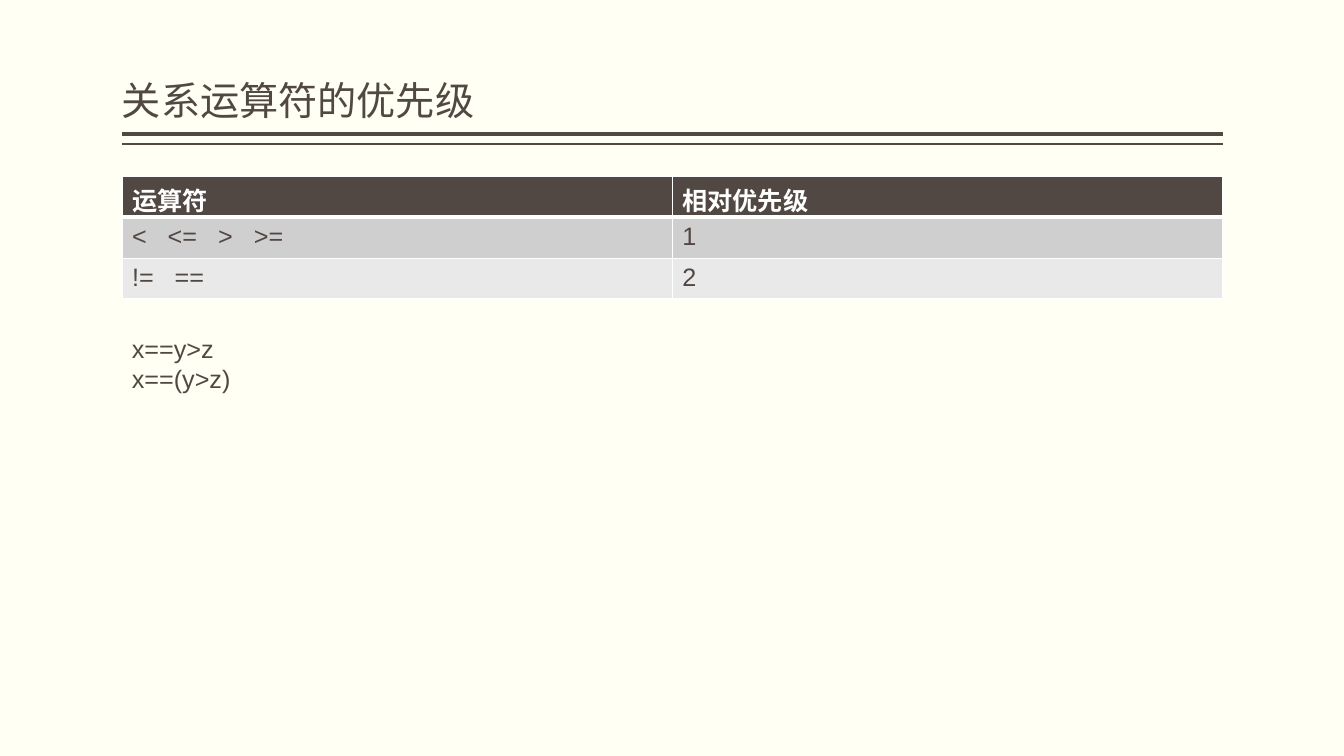
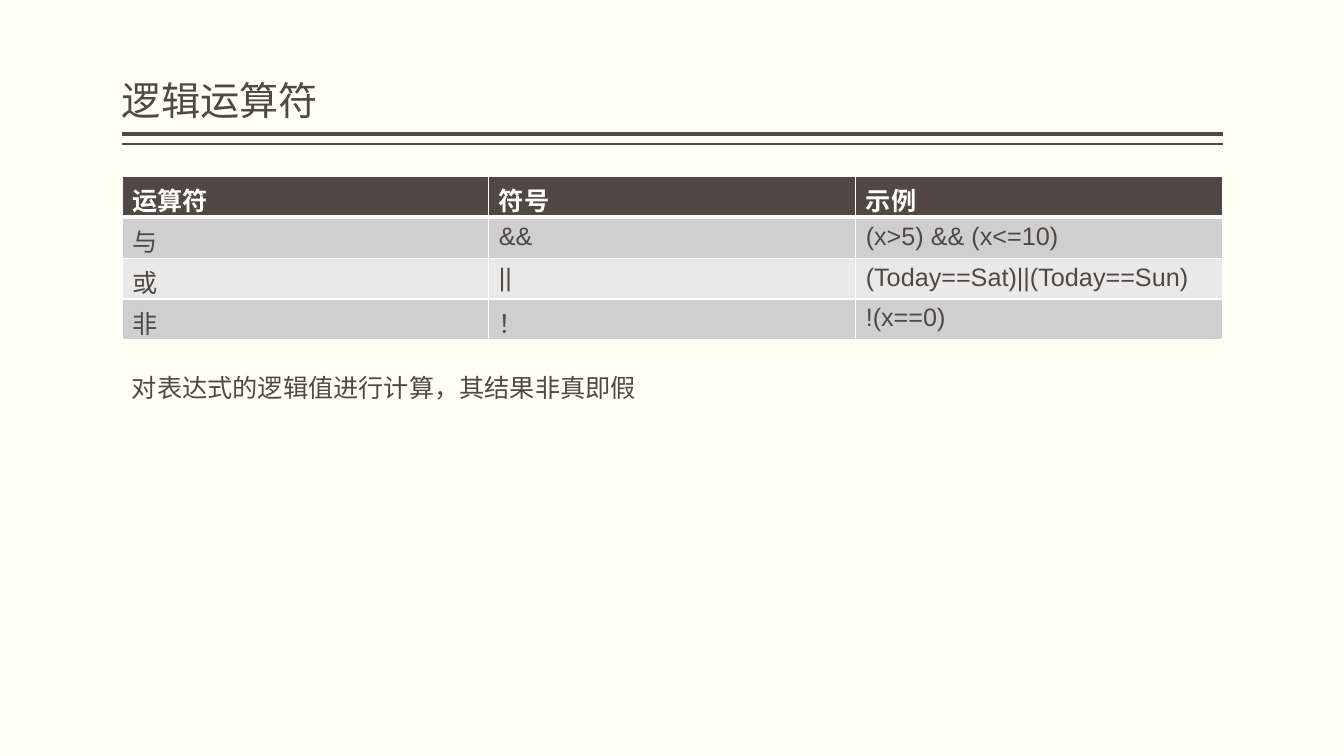
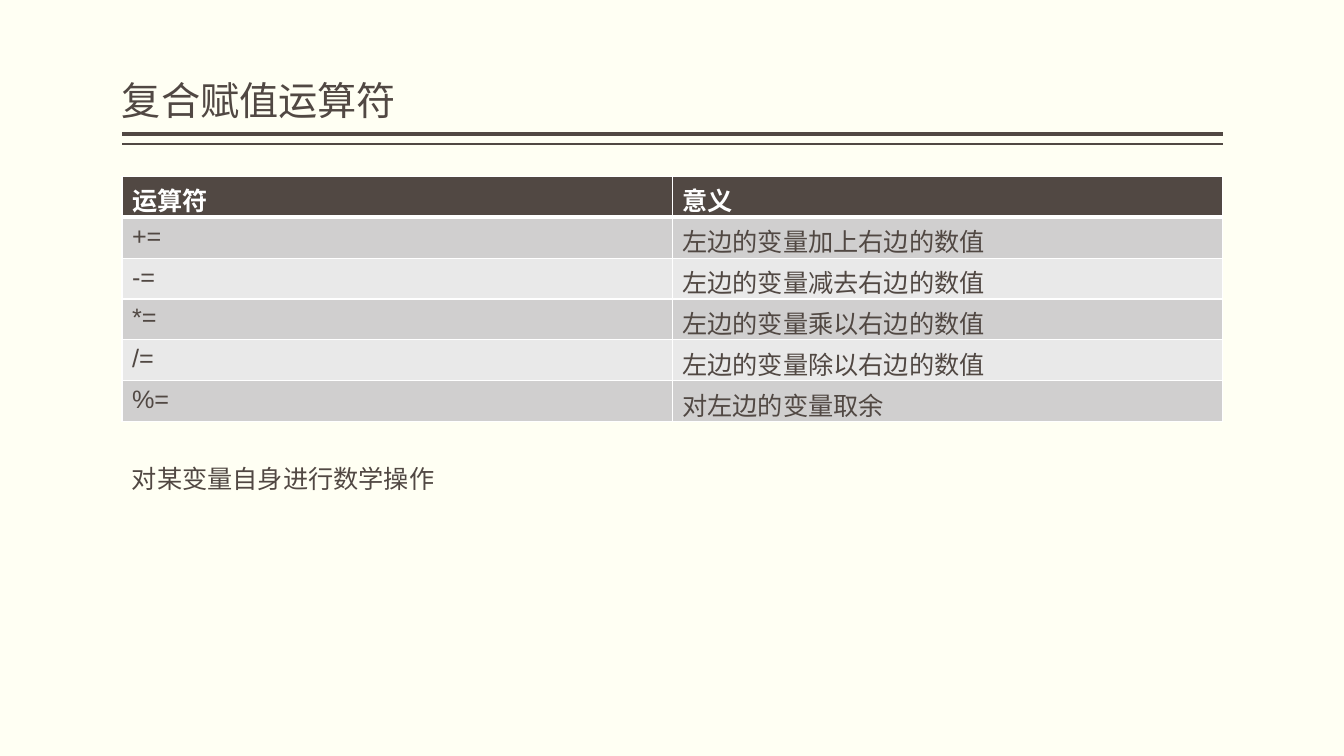
"""Build three slides about programming operators."""
from dataclasses import dataclass

from pptx import Presentation
from pptx.dml.color import RGBColor
from pptx.enum.shapes import MSO_CONNECTOR
from pptx.enum.text import MSO_ANCHOR, MSO_AUTO_SIZE
from pptx.oxml.ns import qn
from pptx.util import Pt
from lxml import etree

STRAIGHT = MSO_CONNECTOR.STRAIGHT
BOTTOM = MSO_ANCHOR.BOTTOM
GROW = MSO_AUTO_SIZE.SHAPE_TO_FIT_TEXT


@dataclass(frozen=True)
class Theme:
    """Colours, fonts, type sizes and shared measures in points."""
    paper: str = "FFFFF3"
    ink: str = "514843"
    white: str = "FFFFFF"
    bands: tuple = ("D0CFCF", "E9E9E9")
    latin: str = "Arial"
    cjk: str = "Noto Sans CJK SC"
    title_size: float = 28
    body_size: float = 18
    left: float = 87.12
    width: float = 786.24
    table_top: float = 126
    row_height: float = 29.2
    operator_gap: float = 10


THEME = Theme()


def rgb(value):
    """Turn a hex string into a colour."""
    return RGBColor.from_string(value)


def add_run(p, text, size=THEME.body_size, font=THEME.latin, color=THEME.ink,
            bold=False, tracking=0):
    """Add one styled run, with optional letter spacing in points."""
    r = p.add_run()
    r.text = text
    r.font.size = Pt(size)
    r.font.name = font
    r.font.bold = bold
    r.font.color.rgb = rgb(color)
    rpr = r._r.get_or_add_rPr()
    etree.SubElement(rpr, qn("a:ea"), typeface=THEME.cjk)
    if tracking:
        rpr.set("spc", str(tracking * 100))


def add_rule(s, y, weight):
    """Draw a horizontal rule across the content width."""
    line = s.shapes.add_connector(STRAIGHT, Pt(THEME.left + THEME.width), Pt(y),
                                  Pt(THEME.left), Pt(y))
    line.line.color.rgb = rgb(THEME.ink)
    line.line.width = Pt(weight)
    etree.SubElement(line._element.spPr, qn("a:effectLst"))


def add_title(s, text):
    """Add the slide title, standing on its baseline."""
    sp = s.shapes.add_textbox(Pt(THEME.left), Pt(5.76), Pt(THEME.width), Pt(86.4))
    tf = sp.text_frame
    tf.word_wrap = True
    tf.vertical_anchor = BOTTOM
    tf.margin_left = tf.margin_right = 0
    p = tf.paragraphs[0]
    p.line_spacing = 0.9
    add_run(p, text, THEME.title_size, THEME.cjk)


def add_slide(prs, title):
    """Add a blank slide with the title and the double rule."""
    s = prs.slides.add_slide(prs.slide_layouts[6])
    add_rule(s, 95.76, 3)
    add_rule(s, 102.96, 1)
    add_title(s, title)
    return s


def set_borders(cell, top, bottom):
    """Give a cell white borders."""
    tc_pr = cell._tc.get_or_add_tcPr()
    for side, weight in (("L", 1), ("R", 1), ("T", top), ("B", bottom)):
        ln = etree.SubElement(tc_pr, qn(f"a:ln{side}"), w=str(Pt(weight)))
        fill = etree.SubElement(ln, qn("a:solidFill"))
        etree.SubElement(fill, qn("a:srgbClr"), val=THEME.white)


def fill_cell(cell, content, row):
    """Style a cell; a tuple of operators is set with wide gaps."""
    header = row == 0
    set_borders(cell, 3 if row == 1 else 1, 3 if header else 1)
    cell.fill.solid()
    cell.fill.fore_color.rgb = rgb(THEME.ink if header else THEME.bands[(row - 1) % 2])
    p = cell.text_frame.paragraphs[0]
    parts = content if isinstance(content, tuple) else (content,)
    for i, part in enumerate(parts):
        if i:
            add_run(p, " ", tracking=THEME.operator_gap)
        add_run(p, part, color=THEME.white if header else THEME.ink, bold=header)


def add_operator_table(s, rows):
    """Add a table with equal columns and banded rows."""
    columns = len(rows[0])
    table = s.shapes.add_table(len(rows), columns, Pt(THEME.left), Pt(THEME.table_top),
                               Pt(THEME.width), Pt(THEME.row_height * len(rows))).table
    table.horz_banding = False
    for column in table.columns:
        column.width = Pt(THEME.width / columns)
    for i, row in enumerate(rows):
        table.rows[i].height = Pt(THEME.row_height)
        for j, content in enumerate(row):
            fill_cell(table.cell(i, j), content, i)


def add_note(s, top, width, height, *lines):
    """Add the remark below the table, one paragraph a line."""
    sp = s.shapes.add_textbox(Pt(THEME.left), Pt(top), Pt(width), Pt(height))
    tf = sp.text_frame
    tf.word_wrap = True
    tf.auto_size = GROW
    for i, line in enumerate(lines):
        p = tf.add_paragraph() if i else tf.paragraphs[0]
        add_run(p, line)


def main():
    """Build and save the presentation."""
    prs = Presentation()
    prs.slide_width, prs.slide_height = Pt(960), Pt(540)
    background = prs.slide_master.background.fill
    background.solid()
    background.fore_color.rgb = rgb(THEME.paper)

    s = add_slide(prs, "关系运算符的优先级")
    add_operator_table(s, [
        ["运算符", "相对优先级"],
        [("<", "<=", ">", ">="), "1"],
        [("!=", "=="), "2"],
    ])
    add_note(s, 234.72, THEME.width, 51.12, "x==y>z", "x==(y>z)")

    s = add_slide(prs, "逻辑运算符")
    add_operator_table(s, [
        ["运算符", "符号", "示例"],
        ["与", "&&", "(x>5) && (x<=10)"],
        ["或", "||", "(Today==Sat)||(Today==Sun)"],
        ["非", "！", "!(x==0)"],
    ])
    add_note(s, 262.08, 668.88, 28.8, "对表达式的逻辑值进行计算，其结果非真即假")

    s = add_slide(prs, "复合赋值运算符")
    add_operator_table(s, [
        ["运算符", "意义"],
        ["+=", "左边的变量加上右边的数值"],
        ["-=", "左边的变量减去右边的数值"],
        ["*=", "左边的变量乘以右边的数值"],
        ["/=", "左边的变量除以右边的数值"],
        ["%=", "对左边的变量取余"],
    ])
    add_note(s, 327.6, 232.56, 28.8, "对某变量自身进行数学操作")

    prs.save("out.pptx")


if __name__ == "__main__":
    main()
